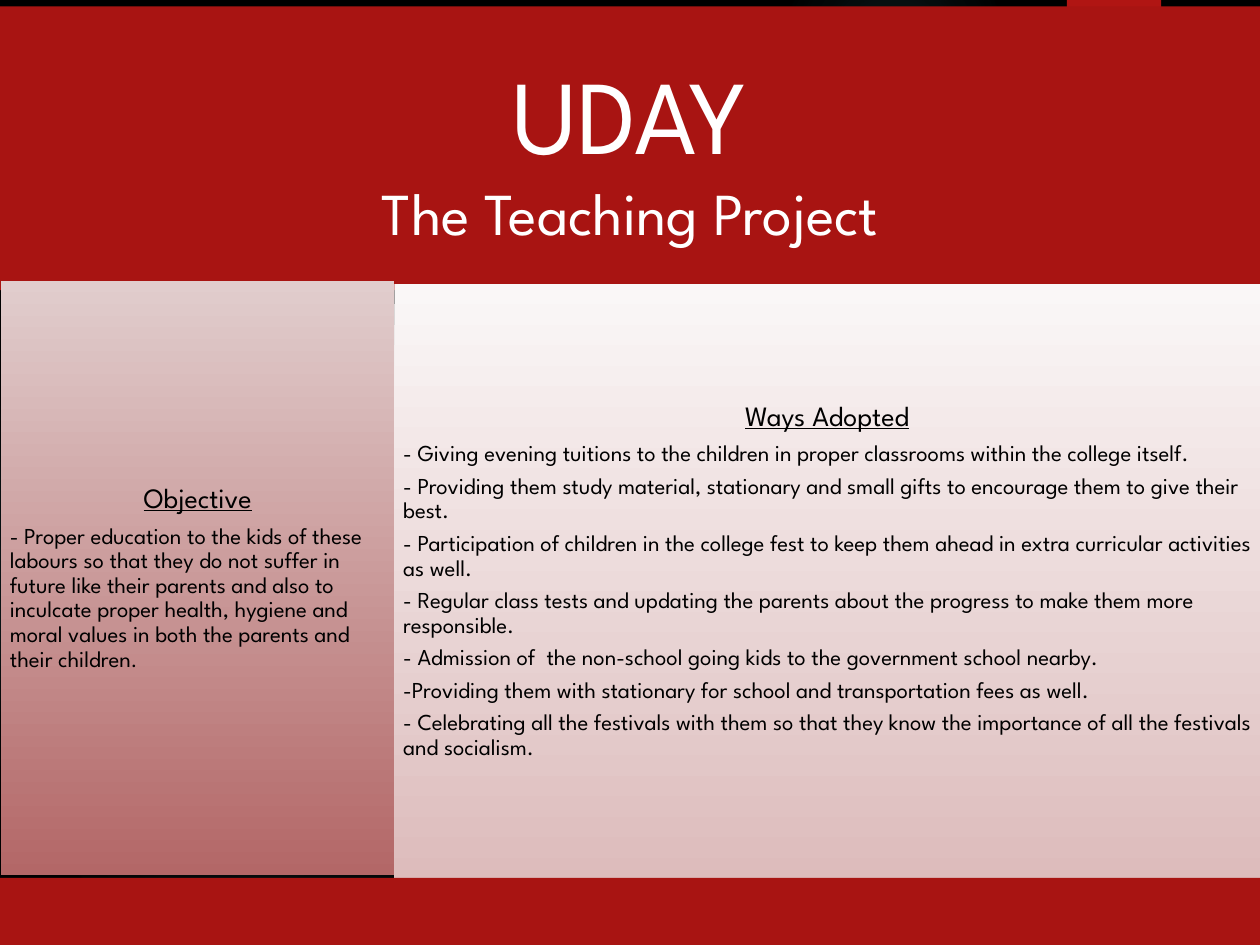
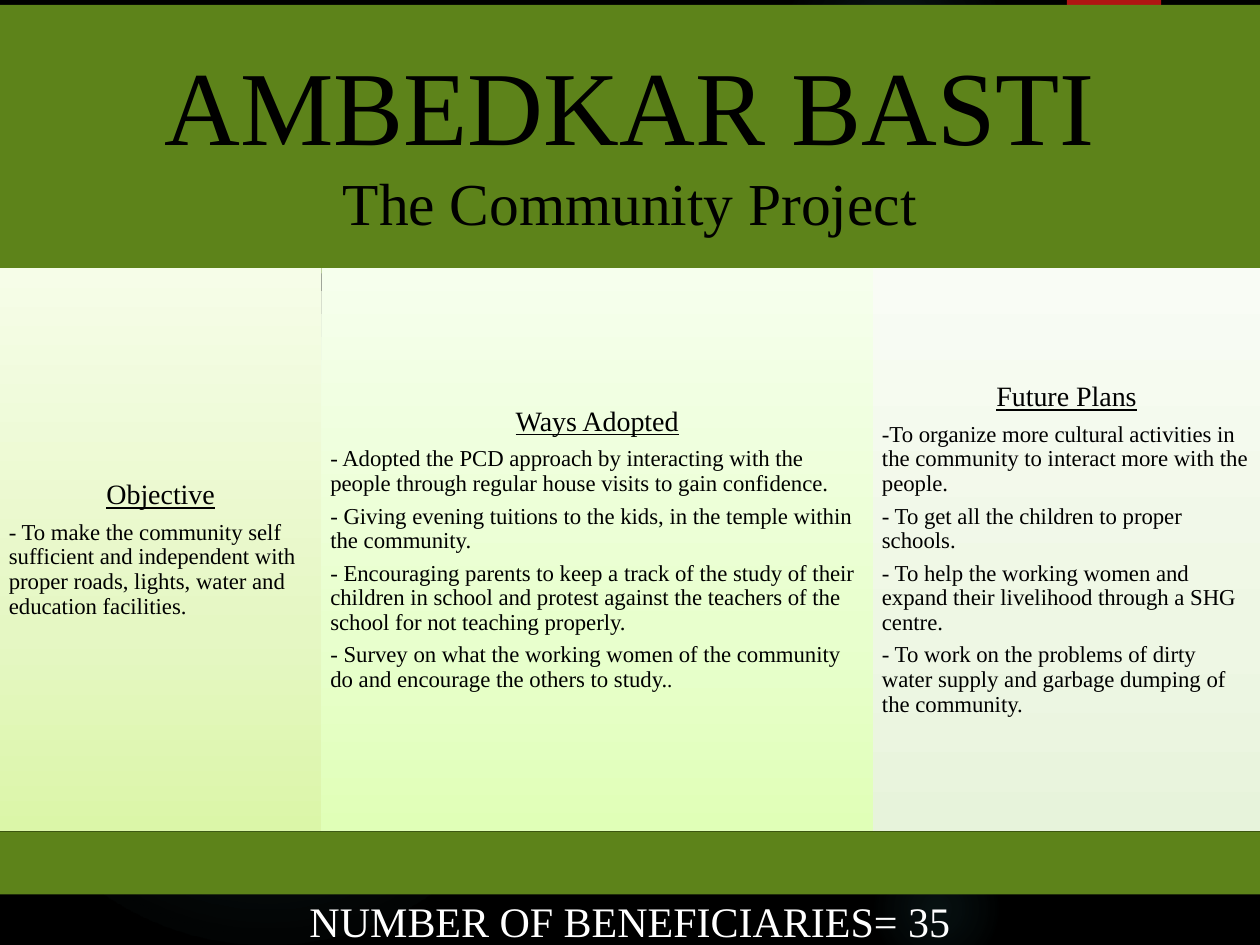
from dataclasses import dataclass

from lxml.etree import SubElement
from pptx import Presentation
from pptx.dml.color import RGBColor
from pptx.enum.shapes import MSO_SHAPE
from pptx.enum.text import MSO_ANCHOR, MSO_AUTO_SIZE, PP_ALIGN
from pptx.oxml.ns import qn
from pptx.util import Cm, Pt

# Content: "|" splits off a last run in the smaller size
PAGES = [
    dict(
        look="red", title="UDAY", sub="The Teaching Project", note=None,
        band=(0.13, 5.72), foot=(17.7, 1.35), left=0.02, tall=11.99,
        panels=[
            (7.93, 5.66, "Objective", [
                "- Proper education to the kids of these labours so that they do not "
                "suffer in future like their parents and also to inculcate proper "
                "health, hygiene and moral values in both the parents and their "
                "children|.",
            ]),
            (17.45, 5.72, "Ways Adopted", [
                "- Giving evening tuitions to the children in proper classrooms "
                "within the college itself.",
                "- Providing them study material, stationary and small gifts to "
                "encourage them to give their best.",
                "- Participation of children in the college fest to keep them ahead "
                "in extra curricular activities as well.",
                "- Regular class tests and updating the parents about the progress "
                "to make them more responsible.",
                "- Admission of  the non-school going kids to the government school "
                "nearby.",
                "-Providing them with stationary for school and transportation fees "
                "as well.",
                "- Celebrating all the festivals with them so that they know the "
                "importance of all the festivals and socialism.",
            ]),
        ],
    ),
    dict(
        look="green", title="AMBEDKAR BASTI", sub="The Community Project",
        note="NUMBER OF BENEFICIARIES= 35",
        band=(0.1, 5.41), foot=(16.76, 1.27), left=0, tall=11.35,
        panels=[
            (6.48, 5.41, "Objective", [
                "- To make the community self sufficient and independent with proper "
                "roads, lights, water and education facilities.",
            ]),
            (11.12, 5.41, "Ways Adopted", [
                "- Adopted the PCD approach by interacting with the people through "
                "regular house visits to gain confidence.",
                "- Giving evening tuitions to the kids, in the temple within the "
                "community.",
                "- Encouraging parents to keep a track of the study of their children "
                "in school and protest against the teachers of the school for not "
                "teaching properly.",
                "- Survey on what the working women of the community do and encourage "
                "the others to study.|.",
            ]),
            (7.8, 5.41, "Future Plans", [
                "-To organize more cultural activities in the community to interact "
                "more with the people.",
                "- To get all the children to proper schools.",
                "- To help the working women and expand their livelihood through a "
                "SHG centre.",
                "- To work on the problems of dirty water supply and garbage dumping "
                "of the community.",
            ]),
        ],
    ),
]

# Faint background glows: left, top, size, (position %, opacity %) stops
GLOWS = [
    (17.5, 4.65, 7.82, [(0, 7), (36, 6), (69, 0)]),
    (15.8, -1.27, 4.45, [(0, 14), (36, 7), (73, 0)]),
    (17.5, 16.94, 2.74, [(0, 9), (36, 5), (66, 0)]),
    (-0.43, 7.42, 11.63, [(0, 11), (36, 10), (75, 0)]),
    (-2.34, 8.05, 6.55, [(0, 8), (36, 8), (72, 0)]),
]


@dataclass(frozen=True)
class Look:
    font: str
    band: str
    ink: str
    fades: tuple


@dataclass(frozen=True)
class Theme:
    wide: float = 25.4
    high: float = 19.05
    back: str = "000000"
    glow: str = "50B9C1"
    tab: str = "B01513"
    dark: str = "000000"
    light: str = "FFFFFF"
    title: int = 60
    sub: int = 34
    note: int = 24
    head: int = 16
    body: int = 13
    small: int = 12
    gap: float = 0.35


THEME = Theme()
LOOKS = dict(
    red=Look("League Spartan", "A81412", THEME.light, (
        [(0, "E1CDCD"), (100, "B36767")],
        [(0, "FAF7F7"), (100, "DDBCBC")],
    )),
    green=Look("Times New Roman", "5D831A", THEME.dark, (
        [(0, "F6FDE8"), (65, "E5F7C3"), (100, "DBF6A8")],
        [(0, "F6FFED"), (65, "E8FFCD"), (100, "E0FFB7")],
        [(0, "F9FCF5"), (65, "EEF7E4"), (100, "E7F3DB")],
    )),
)


# Fills and shapes
def paint(fill, tint):
    fill.solid()
    fill.fore_color.rgb = RGBColor.from_string(tint)


def blend(shape, stops, round_=False):
    """Fill with (position, colour, opacity) stops, downward or from the centre."""
    shape.fill.gradient()
    grad = shape._element.spPr.find(qn("a:gradFill"))
    for part in list(grad):
        grad.remove(part)
    row = SubElement(grad, qn("a:gsLst"))
    for pos, tint, alpha in stops:
        stop = SubElement(row, qn("a:gs"), pos=str(pos * 1000))
        color = SubElement(stop, qn("a:srgbClr"), val=tint)
        if alpha < 100:
            SubElement(color, qn("a:alpha"), val=str(alpha * 1000))
    if round_:
        way = SubElement(grad, qn("a:path"), path="circle")
        SubElement(way, qn("a:fillToRect"), l="50000", t="50000", r="50000", b="50000")
    else:
        SubElement(grad, qn("a:lin"), ang="5400000", scaled="0")


def draw(slide, kind, box, tint=None):
    shape = slide.shapes.add_shape(kind, *map(Cm, box))
    shape.shadow.inherit = False
    shape.line.fill.background()
    if tint:
        paint(shape.fill, tint)
    return shape


# Text
def frame(shape, pad, anchor=MSO_ANCHOR.MIDDLE):
    text = shape.text_frame
    text.word_wrap = True
    text.auto_size = MSO_AUTO_SIZE.NONE
    text.vertical_anchor = anchor
    text.margin_left = text.margin_right = Cm(pad[0])
    text.margin_top = text.margin_bottom = Cm(pad[1])
    return text


def write(text, first, runs, font, tint, mid=True, line=False):
    """Add one paragraph made of (words, size) runs."""
    para = text.paragraphs[0] if first else text.add_paragraph()
    para.alignment = PP_ALIGN.CENTER if mid else PP_ALIGN.LEFT
    for words, size in runs:
        run = para.add_run()
        run.text = words
        run.font.name = font
        run.font.size = Pt(size)
        run.font.underline = line
        run.font.color.rgb = RGBColor.from_string(tint)
    return para


# Parts of a slide
def add_back(slide):
    paint(slide.background.fill, THEME.back)
    for left, top, size, stops in GLOWS:
        glow = draw(slide, MSO_SHAPE.OVAL, (left, top, size, size))
        blend(glow, [(pos, THEME.glow, alpha) for pos, alpha in stops], True)
    draw(slide, MSO_SHAPE.RECTANGLE, (21.51, 0, 1.9, 3.05), THEME.tab)


def add_title(slide, page, look):
    title = slide.shapes.title
    top, high = page["band"]
    title.left, title.top = Cm(0), Cm(top)
    title.width, title.height = Cm(THEME.wide), Cm(high)
    paint(title.fill, look.band)
    text = frame(title, (0.64, 0.64))
    write(text, True, [(page["title"], THEME.title)], look.font, look.ink)
    write(text, False, [(page["sub"], THEME.sub)], look.font, look.ink)
    # Bring the title band in front of the background
    title._element.getparent().append(title._element)


def add_panels(slide, page, look):
    left = page["left"]
    for (wide, top, head, items), fade in zip(page["panels"], look.fades):
        panel = draw(slide, MSO_SHAPE.RECTANGLE, (left, top, wide, page["tall"]))
        blend(panel, [(pos, tint, 100) for pos, tint in fade])
        text = frame(panel, (0.18, 0.18))
        write(text, True, [(head, THEME.head)], look.font, THEME.dark, line=True)
        for item in items:
            runs = zip(item.split("|"), (THEME.body, THEME.small))
            write(text, False, runs, look.font, THEME.dark, mid=False)
        for para in text.paragraphs:
            para.line_spacing = 0.9
            para.space_after = Pt(round(para.runs[0].font.size.pt * THEME.gap, 1))
        left += wide


def add_foot(slide, page, look):
    top, high = page["foot"]
    draw(slide, MSO_SHAPE.RECTANGLE, (0, top, THEME.wide, high), look.band)
    if page["note"]:
        top = 17.93
        box = slide.shapes.add_textbox(
            Cm(0), Cm(top), Cm(THEME.wide), Cm(THEME.high - top))
        text = frame(box, (0.25, 0.13), MSO_ANCHOR.TOP)
        write(text, True, [(page["note"], THEME.note)], look.font, THEME.light)


def main():
    deck = Presentation()
    deck.slide_width, deck.slide_height = Cm(THEME.wide), Cm(THEME.high)
    for page in PAGES:
        slide = deck.slides.add_slide(deck.slide_layouts[5])
        look = LOOKS[page["look"]]
        add_back(slide)
        add_title(slide, page, look)
        add_panels(slide, page, look)
        add_foot(slide, page, look)
    deck.save("out.pptx")


if __name__ == "__main__":
    main()
